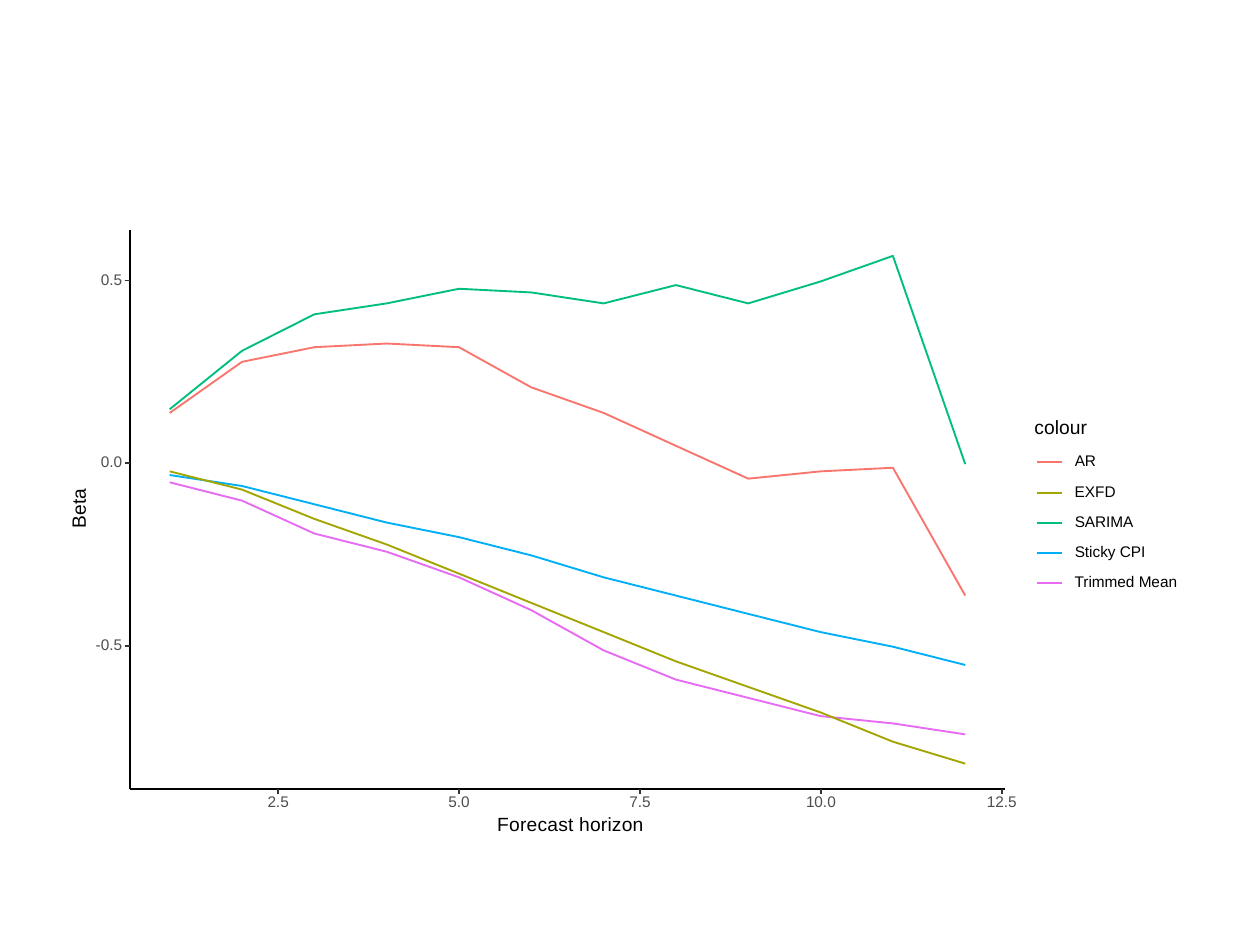
"""Build a slide with a line chart of Beta by forecast horizon and its colour key."""
from lxml.etree import SubElement
from pptx import Presentation
from pptx.chart.data import XyChartData
from pptx.dml.color import RGBColor
from pptx.enum.chart import XL_AXIS_CROSSES, XL_CHART_TYPE, XL_MARKER_STYLE, XL_TICK_MARK
from pptx.enum.chart import XL_TICK_LABEL_POSITION
from pptx.enum.shapes import MSO_CONNECTOR
from pptx.enum.text import MSO_ANCHOR, PP_ALIGN
from pptx.oxml.ns import qn
from pptx.util import Inches, Pt

COLOURS = {
    "AR": "F8766D",
    "EXFD": "A3A500",
    "SARIMA": "00BF7D",
    "Sticky CPI": "00B0F6",
    "Trimmed Mean": "E76BF3",
    "text": "000000",
    "tick": "333333",
    "tick label": "4D4D4D",
}
BETAS = {
    "AR": [0.14, 0.28, 0.32, 0.33, 0.32, 0.21, 0.14, 0.05, -0.04, -0.02, -0.01, -0.36],
    "EXFD": [-0.02, -0.07, -0.15, -0.22, -0.3, -0.38, -0.46, -0.54, -0.61, -0.68, -0.76, -0.82],
    "SARIMA": [0.15, 0.31, 0.41, 0.44, 0.48, 0.47, 0.44, 0.49, 0.44, 0.5, 0.57, 0],
    "Sticky CPI": [-0.03, -0.06, -0.11, -0.16, -0.2, -0.25, -0.31, -0.36, -0.41, -0.46, -0.5, -0.55],
    "Trimmed Mean": [-0.05, -0.1, -0.19, -0.24, -0.31, -0.4, -0.51, -0.59, -0.64, -0.69, -0.71, -0.74],
}
FONT = "Arial"
LINE_WIDTH = Pt(1.07)
PLOT_LEFT, PLOT_BOTTOM, PLOT_WIDTH, PLOT_HEIGHT = 1.03, 6.26, 6.95, 4.44
X_LOW, X_HIGH, Y_LOW, Y_HIGH = 0.45, 12.55, -0.89, 0.64
TICK = 0.04
KEY_LEFT, KEY_TOP, KEY_ROW = 8.21, 3.67, 0.24


def set_layout(parent, position, **shares):
    for old_layout in parent.findall(qn("c:layout")):
        parent.remove(old_layout)
    layout = SubElement(parent, qn("c:layout"))
    parent.insert(position, layout)
    manual = SubElement(layout, qn("c:manualLayout"))
    if "w" in shares:
        SubElement(manual, qn("c:layoutTarget")).set("val", "inner")
    for side in ("x", "y"):
        SubElement(manual, qn(f"c:{side}Mode")).set("val", "edge")
    for side, share in shares.items():
        SubElement(manual, qn(f"c:{side}")).set("val", str(share))


def add_run(paragraph, text, size, colour):
    run = paragraph.add_run()
    run.text = text
    run.font.name = FONT
    run.font.size = Pt(size)
    run.font.bold = False
    run.font.color.rgb = RGBColor.from_string(COLOURS[colour])


presentation = Presentation()
presentation.slide_width = Inches(10)
presentation.slide_height = Inches(7.5)
slide = presentation.slides.add_slide(presentation.slide_layouts[6])

chart_data = XyChartData()
for name, betas in BETAS.items():
    series = chart_data.add_series(name)
    for horizon, beta in enumerate(betas, 1):
        series.add_data_point(horizon, beta)
chart = slide.shapes.add_chart(
    XL_CHART_TYPE.XY_SCATTER_LINES_NO_MARKERS,
    Inches(0.49), Inches(1.73), Inches(9.02), Inches(4.95), chart_data,
).chart
chart.has_legend = False
chart.has_title = False
chart.font.name = FONT
chart.font.size = Pt(8.8)
plot = chart.plots[0]
plot.vary_by_categories = False
for series in plot.series:
    series.smooth = False
    series.marker.style = XL_MARKER_STYLE.NONE
    series.format.line.width = LINE_WIDTH
    series.format.line.color.rgb = RGBColor.from_string(COLOURS[series.name])

plot_area = chart.element.find(".//" + qn("c:plotArea"))
set_layout(plot_area, 0, x=0.06, y=0.02, w=0.77, h=0.9)
for axis, title, low, high, left, top in (
    (chart.category_axis, "Forecast horizon", X_LOW, X_HIGH, 0.38, 0.95),
    (chart.value_axis, "Beta", Y_LOW, Y_HIGH, 0, 0.43),
):
    axis.minimum_scale = low
    axis.maximum_scale = high
    axis.crosses = XL_AXIS_CROSSES.MINIMUM
    axis.has_major_gridlines = False
    axis.major_tick_mark = XL_TICK_MARK.NONE
    axis.minor_tick_mark = XL_TICK_MARK.NONE
    axis.tick_label_position = XL_TICK_LABEL_POSITION.NONE
    axis.format.line.width = LINE_WIDTH
    axis.format.line.color.rgb = RGBColor.from_string(COLOURS["text"])
    add_run(axis.axis_title.text_frame.paragraphs[0], title, 11, "text")
    set_layout(axis.axis_title._element, 1, x=left, y=top)

lines = []
labels = [("colour", KEY_LEFT, 3.4, 11, "text", PP_ALIGN.LEFT)]
for value in (-0.5, 0.0, 0.5):
    y = PLOT_BOTTOM - (value - Y_LOW) / (Y_HIGH - Y_LOW) * PLOT_HEIGHT
    lines.append((PLOT_LEFT - TICK, y, PLOT_LEFT, y, "tick"))
    labels.append((f"{value:.1f}", 0.97, y, 8.8, "tick label", PP_ALIGN.RIGHT))
for value in (2.5, 5.0, 7.5, 10.0, 12.5):
    x = PLOT_LEFT + (value - X_LOW) / (X_HIGH - X_LOW) * PLOT_WIDTH
    lines.append((x, PLOT_BOTTOM + TICK, x, PLOT_BOTTOM, "tick"))
    labels.append((f"{value:.1f}", x, 6.37, 8.8, "tick label", PP_ALIGN.CENTER))
for row, name in enumerate(BETAS):
    y = KEY_TOP + row * KEY_ROW
    lines.append((KEY_LEFT + 0.02, y, KEY_LEFT + 0.22, y, name))
    labels.append((name, KEY_LEFT + 0.32, y, 8.8, "text", PP_ALIGN.LEFT))

for x1, y1, x2, y2, colour in lines:
    line = slide.shapes.add_connector(
        MSO_CONNECTOR.STRAIGHT, Inches(x1), Inches(y1), Inches(x2), Inches(y2)
    )
    line.line.width = LINE_WIDTH
    line.line.color.rgb = RGBColor.from_string(COLOURS[colour])
    SubElement(line._element.spPr, qn("a:effectLst"))

shift = {PP_ALIGN.LEFT: 0, PP_ALIGN.CENTER: 0.5, PP_ALIGN.RIGHT: 1}
for text, x, middle, size, colour, alignment in labels:
    width, height = len(text) * size / 100, size / 100
    label = slide.shapes.add_textbox(
        Inches(x - shift[alignment] * width), Inches(middle - height / 2), Inches(width), Inches(height)
    )
    frame = label.text_frame
    frame.margin_left = frame.margin_right = frame.margin_top = frame.margin_bottom = 0
    frame.vertical_anchor = MSO_ANCHOR.MIDDLE
    frame.word_wrap = False
    paragraph = frame.paragraphs[0]
    paragraph.alignment = alignment
    paragraph.line_spacing = Pt(size)
    add_run(paragraph, text, size, colour)

presentation.save("out.pptx")
